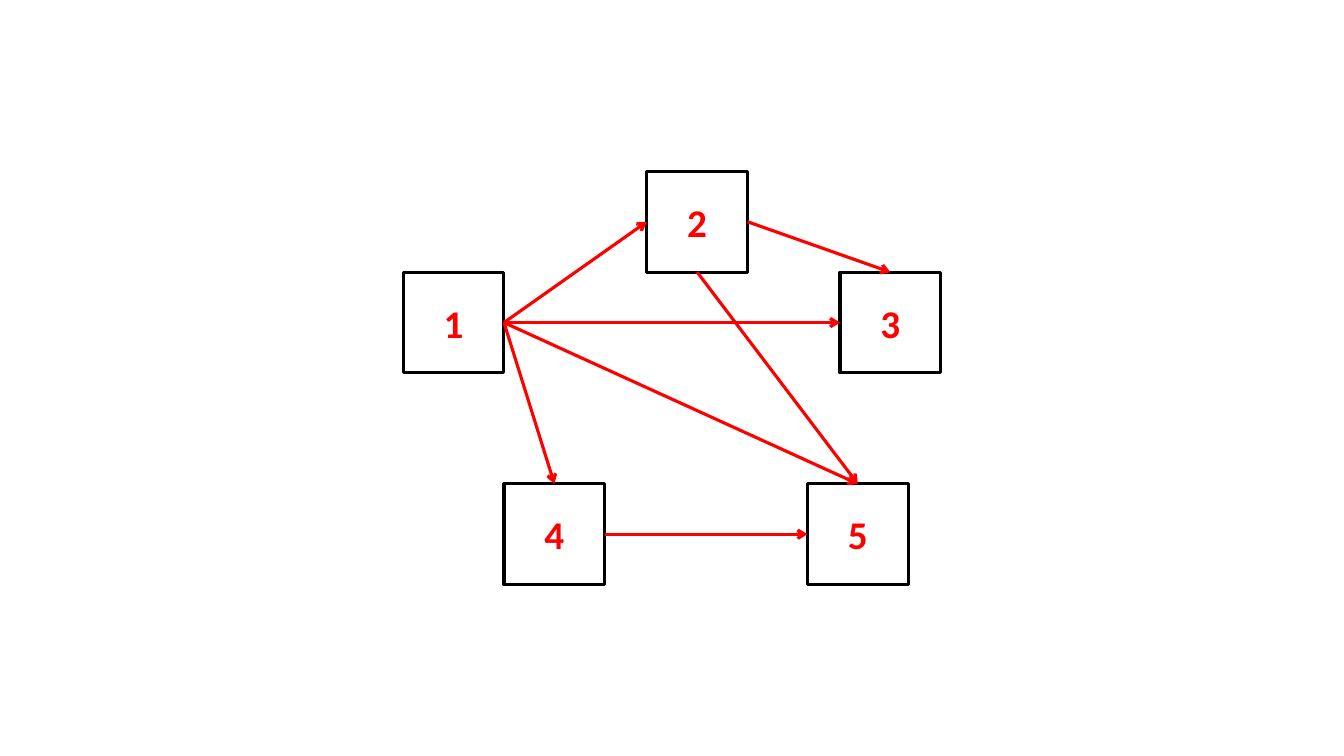
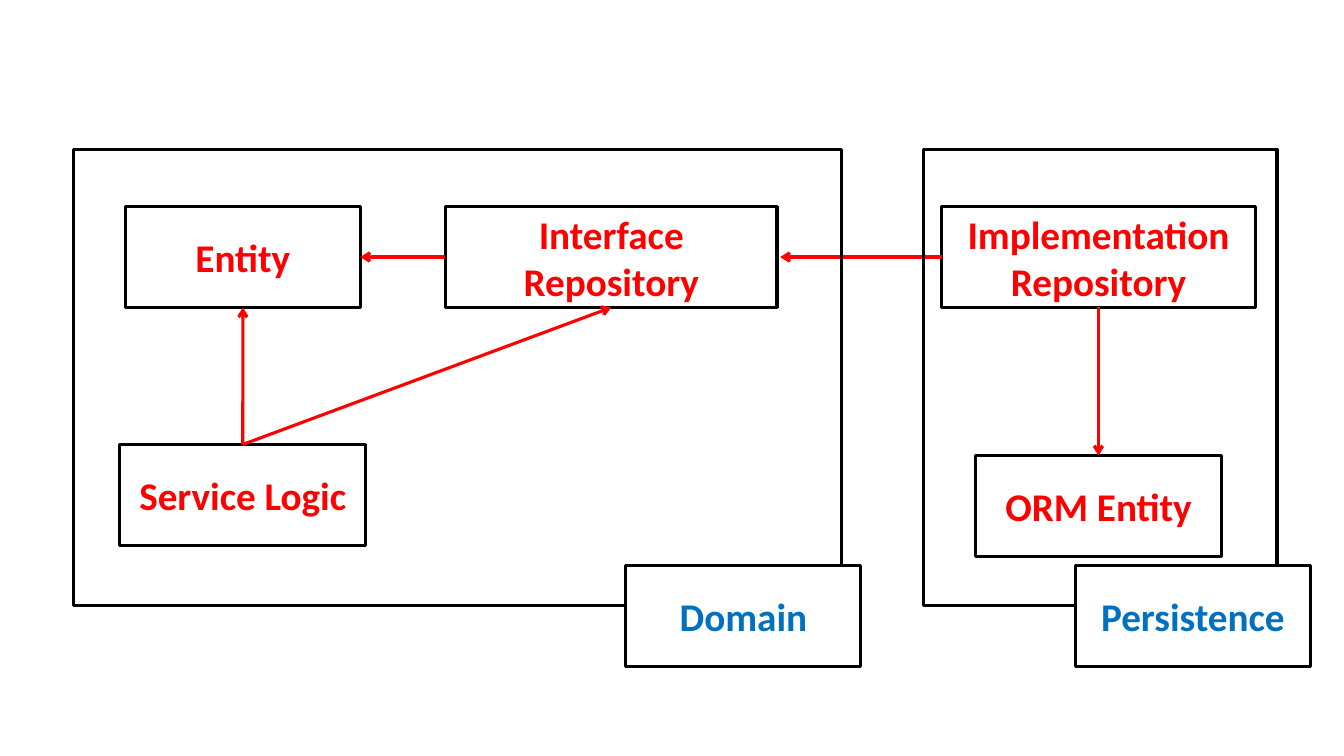
from dataclasses import dataclass
from enum import IntEnum

from lxml.etree import SubElement
from pptx import Presentation
from pptx.dml.color import RGBColor
from pptx.enum.shapes import MSO_CONNECTOR as Connector, MSO_SHAPE as Preset
from pptx.enum.text import MSO_ANCHOR as Anchor, PP_ALIGN as Align
from pptx.oxml.ns import qn
from pptx.shapes.autoshape import Shape
from pptx.slide import Slide
from pptx.util import Pt


@dataclass(frozen=True)
class Theme:
    font: str = "Calibri"
    text_size: float = 28
    line_width: float = 2.25
    outline: RGBColor = RGBColor(0x00, 0x00, 0x00)
    fill: RGBColor = RGBColor(0xFF, 0xFF, 0xFF)
    accent: RGBColor = RGBColor(0xFF, 0x00, 0x00)
    label: RGBColor = RGBColor(0x00, 0x70, 0xC0)


THEME = Theme()
BOX_HEIGHT = 72


class Side(IntEnum):
    TOP = 0
    LEFT = 1
    BOTTOM = 2
    RIGHT = 3


@dataclass(frozen=True)
class Box:
    text: str
    left: float
    top: float
    width: float = BOX_HEIGHT
    height: float = BOX_HEIGHT
    color: RGBColor = THEME.accent
    filled: bool = True


@dataclass(frozen=True)
class Arrow:
    source: str
    source_side: Side
    target: str
    target_side: Side
    gap: float = 0  # distance kept to the right of the target


def draw_box(slide: Slide, box: Box) -> Shape:
    shape = slide.shapes.add_shape(
        Preset.RECTANGLE, Pt(box.left), Pt(box.top), Pt(box.width), Pt(box.height)
    )
    shape.shadow.inherit = False
    if box.filled:
        shape.fill.solid()
        shape.fill.fore_color.rgb = THEME.fill
    else:
        shape.fill.background()
    shape.line.color.rgb = THEME.outline
    shape.line.width = Pt(THEME.line_width)
    if box.text:
        write_text(shape, box)
    return shape


def write_text(shape: Shape, box: Box) -> None:
    frame = shape.text_frame
    frame.word_wrap = True
    frame.vertical_anchor = Anchor.MIDDLE
    for index, line in enumerate(box.text.split("\n")):
        paragraph = frame.add_paragraph() if index else frame.paragraphs[0]
        paragraph.alignment = Align.CENTER
        run = paragraph.add_run()
        run.text = line
        run.font.name = THEME.font
        run.font.size = Pt(THEME.text_size)
        run.font.bold = True
        run.font.color.rgb = box.color


def draw_arrow(slide: Slide, arrow: Arrow, shapes: dict[str, Shape]) -> None:
    connector = slide.shapes.add_connector(Connector.STRAIGHT, 0, 0, 0, 0)
    connector.begin_connect(shapes[arrow.source], arrow.source_side)
    target = shapes[arrow.target]
    if arrow.gap:
        connector.end_x = target.left + target.width + Pt(arrow.gap)
        connector.end_y = target.top + target.height // 2
    else:
        connector.end_connect(target, arrow.target_side)
    connector.line.color.rgb = THEME.accent
    connector.line.width = Pt(THEME.line_width)
    properties = connector.line._get_or_add_ln()
    SubElement(properties, qn("a:tailEnd"), type="arrow")
    SubElement(properties.getparent(), qn("a:effectLst"))


def draw_diagram(slide: Slide, boxes: list[Box], arrows: list[Arrow]) -> None:
    shapes = {box.text: draw_box(slide, box) for box in boxes}
    for arrow in arrows:
        draw_arrow(slide, arrow, shapes)


def build_graph(slide: Slide) -> None:
    # Numbered nodes
    middle, bottom = 194.4, 345.6
    nodes = [
        Box("1", 288, middle),
        Box("2", 462, middle - BOX_HEIGHT),
        Box("3", 600, middle),
        Box("4", 360, bottom),
        Box("5", 576.7, bottom),
    ]
    # Dependencies between nodes
    arrows = [
        Arrow("1", Side.RIGHT, "2", Side.LEFT),
        Arrow("1", Side.RIGHT, "3", Side.LEFT),
        Arrow("1", Side.RIGHT, "5", Side.TOP),
        Arrow("1", Side.RIGHT, "4", Side.TOP),
        Arrow("2", Side.RIGHT, "3", Side.TOP),
        Arrow("2", Side.BOTTOM, "5", Side.TOP),
        Arrow("4", Side.RIGHT, "5", Side.LEFT),
    ]
    draw_diagram(slide, nodes, arrows)


def build_layers(slide: Slide) -> None:
    # Components, with the upper row aligned
    service, entity, orm = "Service Logic", "Entity", "ORM Entity"
    interface = "Interface Repository"
    implementation = "Implementation\nRepository"
    row_top, short_width, lower_width = 147.6, 167.8, 175.7
    components = [
        Box(service, 85.6, 317.5, lower_width),
        Box(entity, 89.6, row_top, short_width),
        Box(interface, 318.2, row_top, 236.9),
        Box(implementation, 672.7, row_top, 223.9),
        Box(orm, 696.8, 325.4, lower_width),
    ]
    arrows = [
        Arrow(interface, Side.LEFT, entity, Side.RIGHT),
        Arrow(service, Side.TOP, entity, Side.BOTTOM),
        Arrow(implementation, Side.BOTTOM, orm, Side.TOP),
        Arrow(service, Side.TOP, interface, Side.BOTTOM),
        Arrow(implementation, Side.LEFT, interface, Side.RIGHT, gap=2.2),
    ]
    draw_diagram(slide, components, arrows)

    # Layer frames, then the labels over their lower right corners
    for left, width in ((52.6, 548.6), (659.5, 252.7)):
        draw_box(slide, Box("", left, 106.6, width, 326.2, filled=False))
    for name, left in (("Domain", 447.1), ("Persistence", 768.2)):
        draw_box(slide, Box(name, left, 403.9, short_width, color=THEME.label))


def main() -> None:
    presentation = Presentation()
    presentation.slide_width, presentation.slide_height = Pt(960), Pt(540)
    blank_layout = presentation.slide_layouts[6]
    for build in (build_graph, build_layers):
        build(presentation.slides.add_slide(blank_layout))
    presentation.save("out.pptx")


if __name__ == "__main__":
    main()
